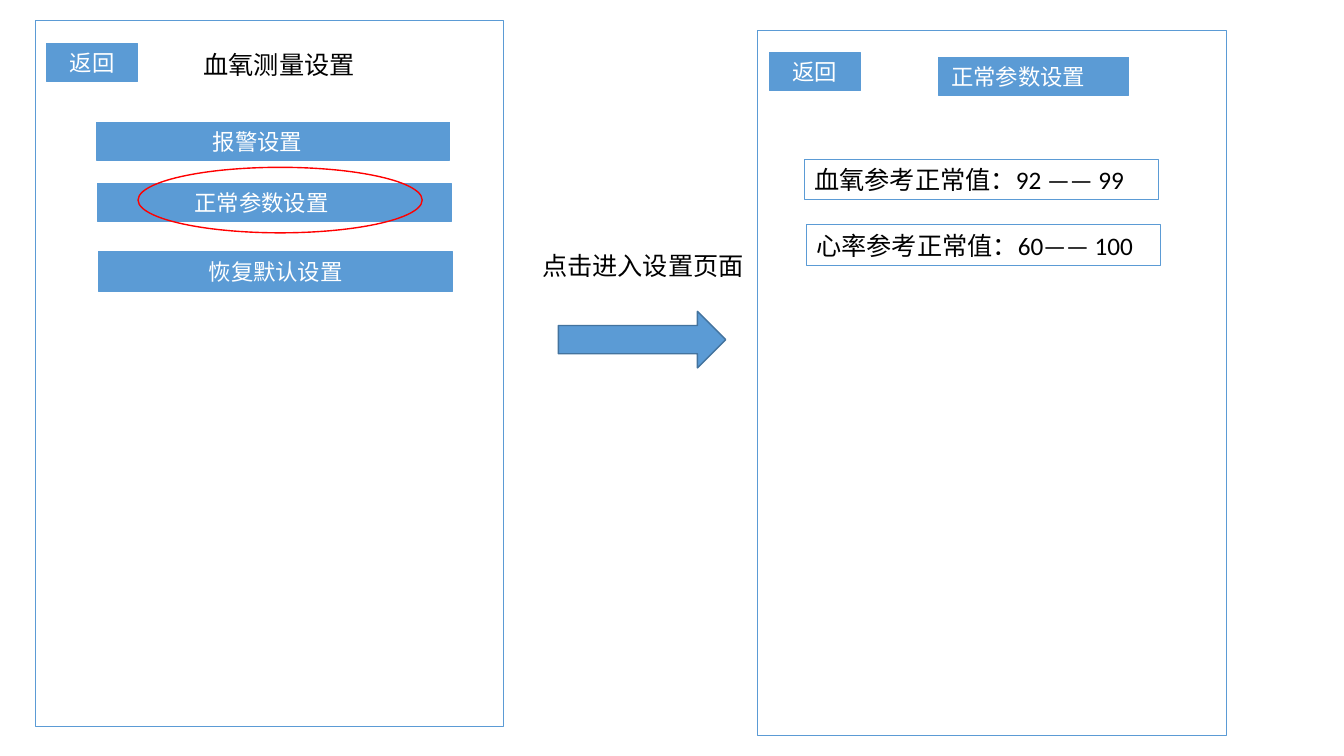
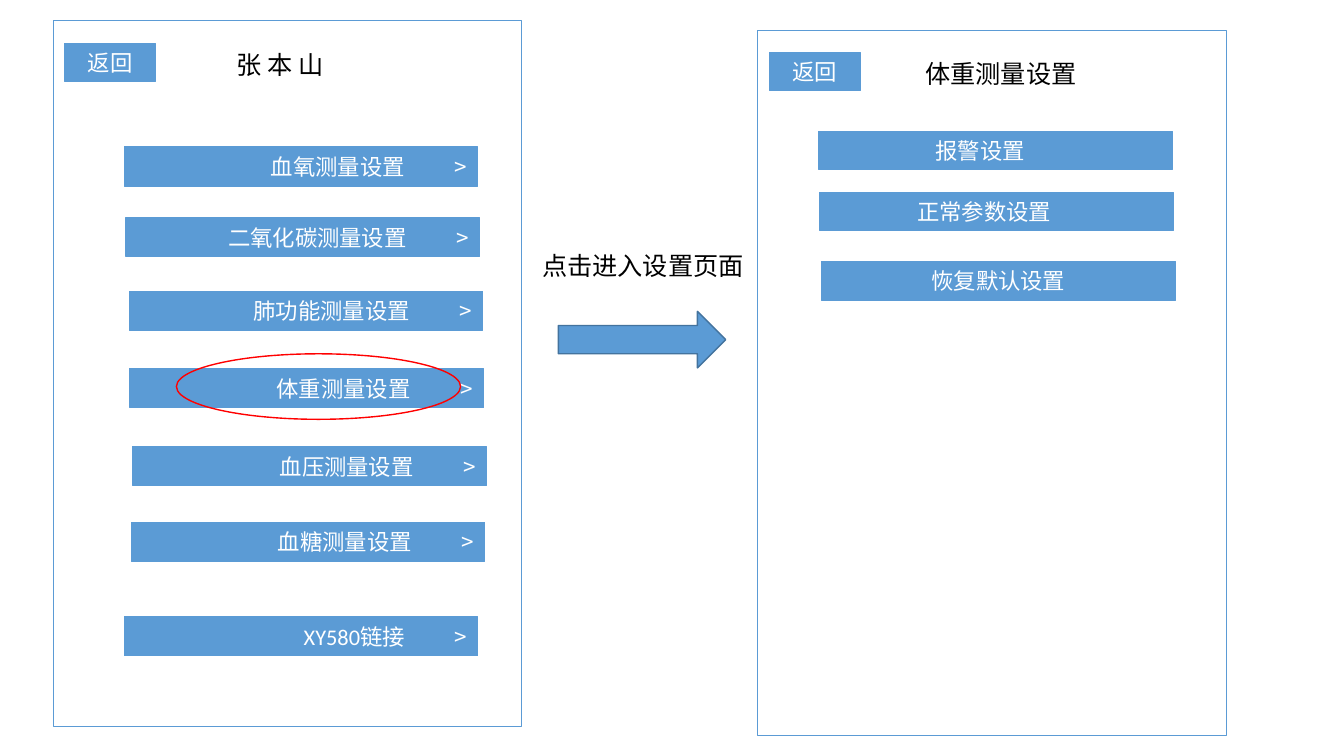
from dataclasses import dataclass
from typing import Optional

from lxml import etree
from pptx import Presentation
from pptx.dml.color import RGBColor
from pptx.enum import shapes, text
from pptx.oxml.ns import qn
from pptx.util import Pt


@dataclass(frozen=True)
class Theme:
    accent: RGBColor = RGBColor(0x5B, 0x9B, 0xD5)
    arrow_line: RGBColor = RGBColor(0x43, 0x73, 0x9E)
    mark: RGBColor = RGBColor(0xFF, 0x00, 0x00)
    ink: RGBColor = RGBColor(0x00, 0x00, 0x00)
    paper: RGBColor = RGBColor(0xFF, 0xFF, 0xFF)
    latin: str = "Calibri"
    cjk: str = "Noto Sans CJK SC"
    title: float = 18
    button: float = 16
    thin: float = 0.75
    medium: float = 1


@dataclass(frozen=True)
class Box:
    x: float
    y: float
    w: float
    h: float


@dataclass(frozen=True)
class Row:
    label: str
    x: float
    y: float
    h: float = 28
    trail: float = 0


T = Theme()
INSET = 7.2
ROW_W = 252.7
LABEL_TAB, CHEVRON_TAB = 193.5, 238
RIGHT = Box(541.4, 21.6, 334.8, 504)
SETTINGS = [
    Row("报警设置", 43.5, 72.3, 27, 22),
    Row("正常参数设置", 44.3, 116, 27, 18),
    Row("恢复默认设置", 45.4, 165),
]
MEASUREMENTS = [
    Row("血氧测量设置", 50.6, 90),
    Row("二氧化碳测量设置", 52, 140.4),
    Row("肺功能测量设置", 54.2, 193),
    Row("体重测量设置", 54.7, 248.4),
    Row("血压测量设置", 57, 304),
    Row("血糖测量设置", 55.6, 358),
    Row("XY580链接", 50.6, 425.5),
]
VALUES = [
    Row("血氧参考正常值：92 —— 99", 33.2, 92.2, 29),
    Row("心率参考正常值：60—— 100", 34.6, 139, 29),
]


def inside(panel: Box, x: float, y: float, w: float, h: float) -> Box:
    return Box(panel.x + x, panel.y + y, w, h)


def place(sp, box: Box) -> None:
    sp.left, sp.top, sp.width, sp.height = map(Pt, (box.x, box.y, box.w, box.h))


def style_run(r, size: float, color: RGBColor, font: str = T.latin) -> None:
    r.font.size = Pt(size)
    r.font.color.rgb = color
    r.font.name = font
    latin = r.font._element.find(qn("a:latin"))
    ea = etree.Element(qn("a:ea"), typeface=T.cjk)
    latin.addnext(ea)


def write(sp, words: str, size: float, color: RGBColor,
          align=text.PP_ALIGN.LEFT, trail: float = 0, wrap: bool = True):
    tf = sp.text_frame
    tf.text = words
    tf.word_wrap = wrap
    tf.auto_size = text.MSO_AUTO_SIZE.NONE
    tf.vertical_anchor = text.MSO_ANCHOR.MIDDLE
    tf.margin_left, tf.margin_right = Pt(INSET), Pt(INSET + trail)
    tf.margin_top = tf.margin_bottom = 0
    p = tf.paragraphs[0]
    p.alignment = align
    style_run(p.runs[0], size, color)
    return p


def add_shape(s, kind, box: Box, line: RGBColor, width: float,
              fill: Optional[RGBColor] = None):
    sp = s.shapes.add_shape(kind, *map(Pt, (box.x, box.y, box.w, box.h)))
    sp.shadow.inherit = False
    if fill is None:
        sp.fill.background()
    else:
        sp.fill.solid()
        sp.fill.fore_color.rgb = fill
    sp.line.color.rgb = line
    sp.line.width = Pt(width)
    return sp


def add_rect(s, box: Box, fill: Optional[RGBColor] = None):
    return add_shape(s, shapes.MSO_SHAPE.RECTANGLE, box, T.accent, T.thin, fill)


def add_button(s, box: Box, label: str, trail: float = 0) -> None:
    write(add_rect(s, box, T.accent), label, T.button, T.paper,
          text.PP_ALIGN.CENTER, trail)


def add_link(s, box: Box, label: str) -> None:
    p = write(add_rect(s, box, T.accent), f"\t{label}\t", T.button, T.paper)
    tabs = etree.SubElement(p._p.get_or_add_pPr(), qn("a:tabLst"))
    for pos in (LABEL_TAB, CHEVRON_TAB):
        etree.SubElement(tabs, qn("a:tab"), pos=str(Pt(pos)), algn="r")
    r = p.add_run()
    r.text = ">"
    style_run(r, T.button, T.paper, T.cjk)


def add_label(s, box: Box, words: str, wrap: bool = True) -> None:
    sp = s.shapes.add_textbox(0, 0, 0, 0)
    place(sp, box)
    write(sp, words, T.title, T.ink, wrap=wrap)


def add_panel(s, panel: Box) -> None:
    add_rect(s, panel)
    add_button(s, inside(panel, 8.2, 16.2, 65, 27), "返回")


def add_settings(s, panel: Box) -> None:
    for row in SETTINGS:
        add_button(s, inside(panel, row.x, row.y, ROW_W, row.h), row.label, row.trail)


def add_mark(s, x: float, y: float) -> None:
    add_shape(s, shapes.MSO_SHAPE.OVAL, Box(x, y, 203, 46.8), T.mark, T.medium)


def add_flow_slide(prs, left: Box, title: str, title_x: float, title_w: float):
    s = prs.slides.add_slide(prs.slide_layouts[5])
    place(s.shapes.title, inside(left, title_x, 16.2, title_w, 29))
    write(s.shapes.title, title, T.title, T.ink)
    for panel in (left, RIGHT):
        add_panel(s, panel)
    add_label(s, Box(380.2, 175, 158.4, 29), "点击进入设置页面", wrap=False)
    add_shape(s, shapes.MSO_SHAPE.RIGHT_ARROW, Box(398.9, 222.4, 119.5, 40.4),
              T.arrow_line, T.medium, T.accent)
    return s


def build_parameters(prs) -> None:
    left = Box(25.2, 15, RIGHT.w, RIGHT.h)
    s = add_flow_slide(prs, left, "血氧测量设置", 113, 132.5)
    add_settings(s, left)
    add_button(s, inside(RIGHT, 129, 19.4, 136, 27), "正常参数设置", 22)
    add_mark(s, 98.6, 119.5)
    for row in VALUES:
        sp = add_rect(s, inside(RIGHT, row.x, row.y, ROW_W, row.h))
        write(sp, row.label, T.title, T.ink)


def build_measurements(prs) -> None:
    left = Box(38, 15, RIGHT.w, RIGHT.h)
    s = add_flow_slide(prs, left, "张 本 山", 124, 84)
    for row in MEASUREMENTS:
        add_link(s, inside(left, row.x, row.y, ROW_W, row.h), row.label)
    add_mark(s, 126, 252.7)
    add_label(s, inside(RIGHT, 112.4, 16.6, 152.6, 29), "体重测量设置")
    add_settings(s, RIGHT)


def main() -> None:
    prs = Presentation()
    prs.slide_width, prs.slide_height = Pt(960), Pt(540)
    build_parameters(prs)
    build_measurements(prs)
    prs.save("out.pptx")


if __name__ == "__main__":
    main()
